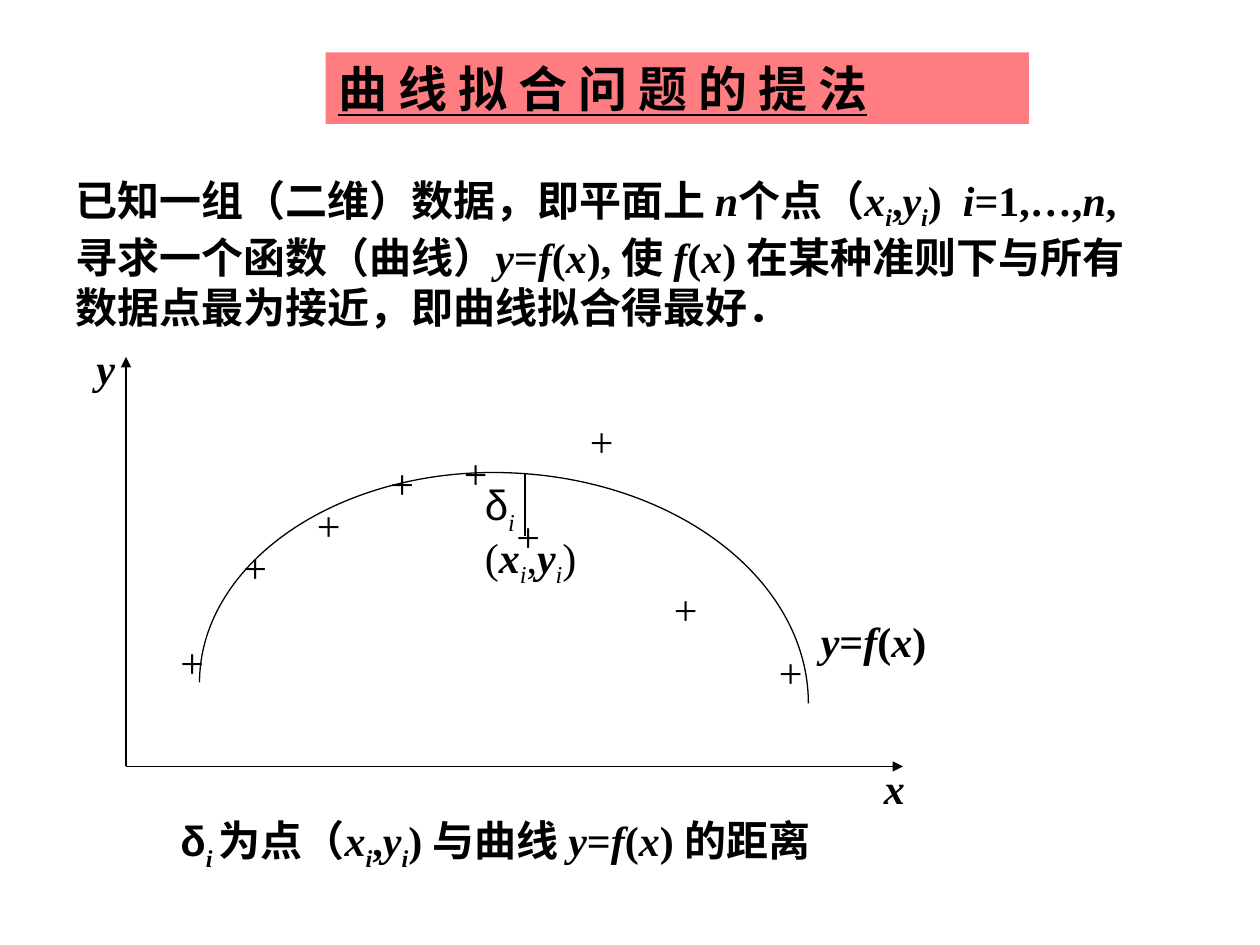
import pptx
import pptx.util
import pptx.dml.color
import pptx.enum.shapes
import pptx.enum.text
import pptx.oxml
import pptx.oxml.ns

presentation = pptx.Presentation()
presentation.slide_width = pptx.util.Inches(10)
presentation.slide_height = pptx.util.Inches(7.5)
slide = presentation.slides.add_slide(presentation.slide_layouts[5])
shapes = slide.shapes
CELL = presentation.slide_width / 120
LATIN, CHINESE, GREEK = "Times New Roman", "Noto Sans CJK SC", "Arial"
POINT = "*x|_i|,|*y|_i|)"
CURVE = "*y|=|*f|(|*x|)"


def write(text, column, row, columns, rows, shape=None, size=24, bold=False,
          underline=False, font=LATIN, color="000000"):
    box = [round(cells * CELL) for cells in (column, row, columns, rows)]
    shape = shape or shapes.add_textbox(*box)
    shape.left, shape.top, shape.width, shape.height = box
    frame = shape.text_frame
    frame.word_wrap = True
    frame.auto_size = pptx.enum.text.MSO_AUTO_SIZE.NONE
    frame.vertical_anchor = pptx.enum.text.MSO_ANCHOR.TOP
    paragraph = frame.paragraphs[0]
    paragraph.alignment = pptx.enum.text.PP_ALIGN.LEFT
    for piece in text.split("|"):
        variable, subscript = piece.startswith("*"), piece.startswith("_")
        run = paragraph.add_run()
        run.text = piece.lstrip("*_")
        run.font.size = pptx.util.Pt(size)
        run.font.bold = bold or variable
        run.font.italic = variable or subscript
        run.font.underline = underline
        run.font.name = GREEK if "δ" in piece else font
        run.font.color.rgb = pptx.dml.color.RGBColor.from_string(color)
        properties = run.font._element
        east_asian = pptx.oxml.parse_xml(
            f'<a:ea {pptx.oxml.ns.nsdecls("a")} typeface="{CHINESE}"/>')
        properties.find(pptx.oxml.ns.qn("a:latin")).addnext(east_asian)
        if subscript:
            properties.set("baseline", "-25000")
    return shape


title = write("曲 线 拟 合 问 题 的 提 法", 31, 5, 67, 6.8, shape=shapes.title,
              size=28, bold=True, underline=True, font=CHINESE)
title.fill.solid()
title.fill.fore_color.rgb = pptx.dml.color.RGBColor.from_string("FF7C80")

write(f"已知一组（二维）数据，即平面上 |*n|个点|（|{POINT}  |*i|=1,…,|*n|, |"
      f"寻求一个函数（曲线）|{CURVE}, |使 |*f|(|*x|) |"
      "在某种准则下与所有数据点最为接近，即曲线拟合得最好．",
      6, 16, 106, 16.3, bold=True)

data_points = [(16, 60), (22, 51), (29, 47), (36, 43), (43, 42),
               (48, 48), (55, 39), (63, 55), (73, 61)]
for column, row in data_points:
    write("+", column, row, 7, 6)

segments = [(12, 73, 86, 73, True), (12, 73, 12, 34, True), (50, 51, 50, 45, False)]
for *ends, has_arrow in segments:
    connector = shapes.add_connector(
        pptx.enum.shapes.MSO_CONNECTOR.STRAIGHT, *[round(end * CELL) for end in ends])
    connector.line.width = pptx.util.Pt(0.75)
    connector.line.color.rgb = pptx.dml.color.RGBColor.from_string("000000")
    if has_arrow:
        connector.line._get_or_add_ln().append(pptx.oxml.parse_xml(
            f'<a:tailEnd {pptx.oxml.ns.nsdecls("a")} type="triangle"/>'))
    connector._element.spPr.append(pptx.oxml.parse_xml(
        f'<a:effectLst {pptx.oxml.ns.nsdecls("a")}/>'))

quarter_ellipses = [(19, 45, 56, 40, 180, 270), (17, 45, 60, 44, 270, 0)]
for *box, start, end in quarter_ellipses:
    arc = shapes.add_shape(pptx.enum.shapes.MSO_SHAPE.ARC,
                           *[round(cells * CELL) for cells in box])
    arc.adjustments[0] = start * 0.6
    arc.adjustments[1] = end * 0.6
    arc.fill.background()
    arc.line.width = pptx.util.Pt(0.75)
    arc.line.color.rgb = pptx.dml.color.RGBColor.from_string("000000")
    arc.shadow.inherit = False

write("*x", 83, 72, 8, 6)
write("*y", 8, 32, 6, 6)
write(CURVE, 77, 58, 19, 6, bold=True)
write(f"(|{POINT}", 45, 50, 12, 6.7)
write("δ|_i", 45, 45, 7, 6.7)
write(f"δ|_i |为点（|{POINT} 与|曲线 |{CURVE} 的距离", 16, 77, 65, 11.5, bold=True)

presentation.save("out.pptx")
